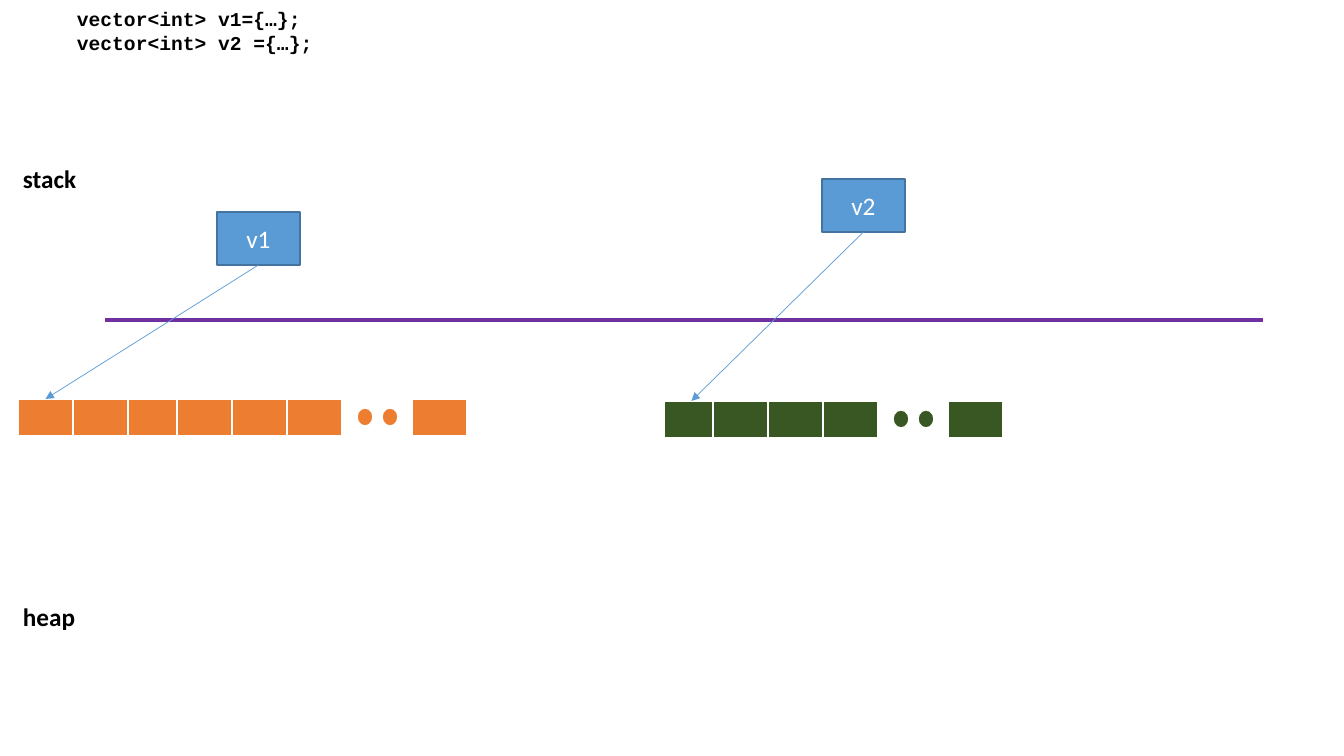
from pptx import Presentation
from pptx.dml.color import RGBColor
from pptx.enum.shapes import MSO_CONNECTOR, MSO_SHAPE
from pptx.enum.text import MSO_ANCHOR, PP_ALIGN
from pptx.oxml.ns import qn
from pptx.util import Emu, Pt
from lxml.etree import SubElement

PX = 914400 / 100.8
CELL_W, CELL_H = 55, 37
OVERLAP = 6  # the third cell from the end of a run tucks under its neighbour
DOT_W, DOT_H = 16, 18
VECTOR_W, VECTOR_H = 83, 53
BLUE, WHITE, BLACK = "5B9BD5", "FFFFFF", "000000"


def px(*lengths):
    """Turn pixel lengths into EMU."""
    return [Emu(round(length * PX)) for length in lengths]


def color(hex_code):
    """Turn a hex string into a colour."""
    return RGBColor.from_string(hex_code)


def add_words(frame, lines, size, font, ink, bold=False, align=PP_ALIGN.LEFT):
    """Write lines as equally formatted paragraphs."""
    frame.word_wrap = True
    frame.text = "\n".join(lines)
    for paragraph in frame.paragraphs:
        paragraph.alignment = align
        paragraph.font.size = Pt(size)
        paragraph.font.name = font
        paragraph.font.bold = bold
        paragraph.font.color.rgb = color(ink)


def add_label(slide, box, lines, size=18, font="Calibri"):
    """Place bold black text in the given box."""
    frame = slide.shapes.add_textbox(*px(*box)).text_frame
    add_words(frame, lines, size, font, BLACK, bold=True)


def add_block(slide, kind, box, fill, outline=WHITE):
    """Draw a filled shape with a thin outline."""
    block = slide.shapes.add_shape(kind, *px(*box))
    block.shadow.inherit = False
    block.fill.solid()
    block.fill.fore_color.rgb = color(fill)
    block.line.color.rgb = color(outline)
    block.line.width = Pt(1)
    return block


def add_line(slide, start, end, ink, width, arrow=False):
    """Draw a straight line, with an arrowhead at its end if asked."""
    line = slide.shapes.add_connector(MSO_CONNECTOR.STRAIGHT, *px(*start, *end))
    line.line.color.rgb = color(ink)
    line.line.width = Pt(width)
    if arrow:
        SubElement(line.line._get_or_add_ln(), qn("a:tailEnd"), type="triangle")
    SubElement(line._element.spPr, qn("a:effectLst"))


def add_elements(slide, left, top, count, fill):
    """Draw a run of cells, two dots and the last cell from a left top corner."""
    cells = [left + i * CELL_W - (OVERLAP if i > count - 4 else 0)
             for i in range(count)]
    run_end = cells[-1] + CELL_W
    for x in cells + [run_end + 70]:
        add_block(slide, MSO_SHAPE.RECTANGLE, (x, top, CELL_W, CELL_H), fill)
    for x in (run_end + 15, run_end + 40):
        add_block(slide, MSO_SHAPE.OVAL, (x, top + 9, DOT_W, DOT_H), fill)


def add_vector(slide, name, left, top, heap_left, heap_top, count, fill):
    """Draw a stack variable, its heap elements and the pointer between them."""
    variable = add_block(slide, MSO_SHAPE.RECTANGLE,
                         (left, top, VECTOR_W, VECTOR_H), BLUE, "43739E")
    variable.text_frame.vertical_anchor = MSO_ANCHOR.MIDDLE
    add_words(variable.text_frame, [name], 18, "Calibri", WHITE,
              align=PP_ALIGN.CENTER)
    add_elements(slide, heap_left, heap_top, count, fill)
    add_line(slide, (left + VECTOR_W / 2, top + VECTOR_H),
             (heap_left + CELL_W / 2, heap_top), BLUE, 0.5, arrow=True)


def build_memory_slide(deck):
    """Build the slide that shows two vectors on the stack and the heap."""
    slide = deck.slides.add_slide(deck.slide_layouts[6])
    add_line(slide, (105, 320), (1263, 320), "7030A0", 3)
    add_label(slide, (13, 158, 133, 40), ["stack"])
    add_label(slide, (13, 596, 104, 40), ["heap"])
    add_label(slide, (67, 2, 360, 105),
              ["vector<int> v1={…};", "vector<int> v2 ={…};"], 14, "Courier New")
    add_vector(slide, "v1", 217, 212, 18, 399, 6, "ED7D31")
    add_vector(slide, "v2", 822, 179, 664, 401, 4, "385723")


deck = Presentation()
deck.slide_width, deck.slide_height = px(1344, 756)
build_memory_slide(deck)
deck.save("out.pptx")
